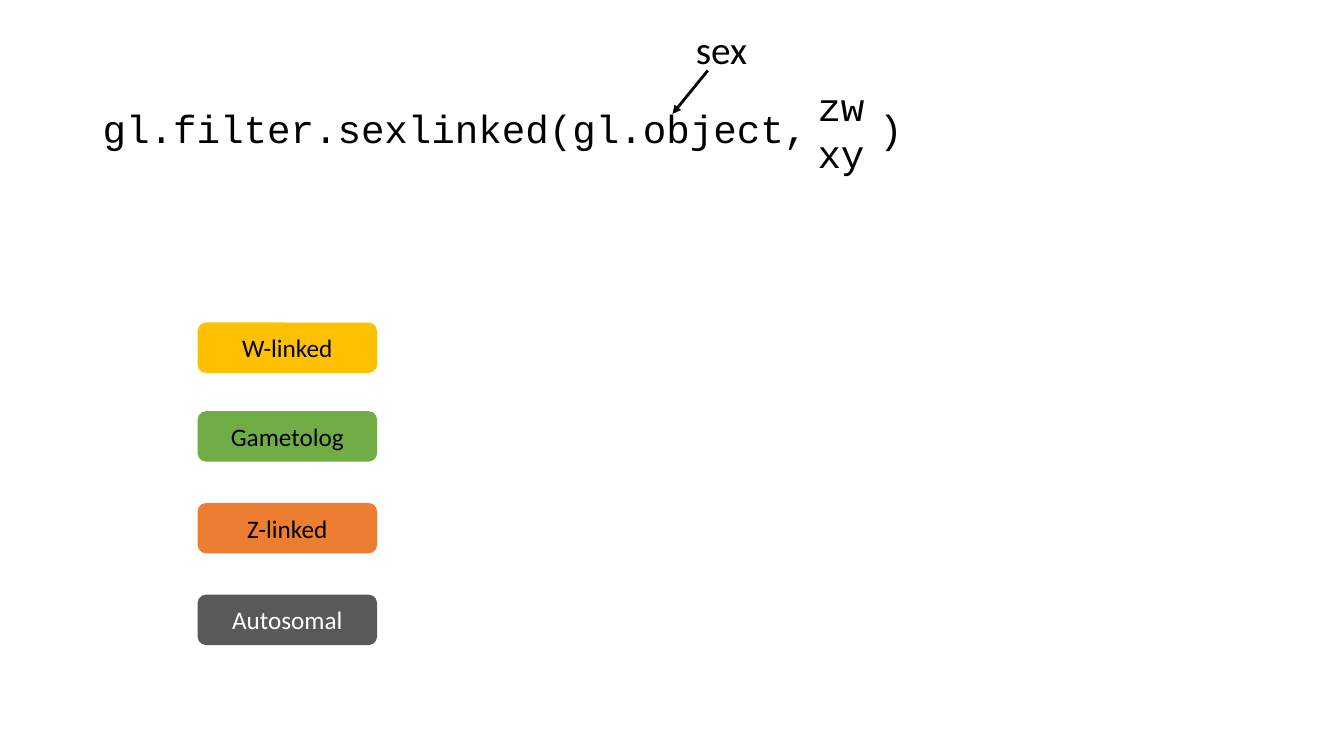
from lxml import etree
from pptx import Presentation
from pptx.dml.color import RGBColor
from pptx.enum import shapes, text
from pptx.oxml import ns
from pptx.util import Inches, Pt

BLACK = RGBColor(0, 0, 0)
WHITE = RGBColor(255, 255, 255)
GOLD = RGBColor(0xFF, 0xC0, 0x00)
GREEN = RGBColor(0x70, 0xAD, 0x47)
ORANGE = RGBColor(0xED, 0x7D, 0x31)
GRAY = RGBColor(0x59, 0x59, 0x59)
CODE = "Courier New"
BODY = "Calibri"
CENTER = text.PP_ALIGN.CENTER


def write(para, words, font, size, color, align=None):
    para.alignment = align
    run = para.add_run()
    run.text = words
    run.font.name = font
    run.font.size = Pt(size)
    run.font.color.rgb = color


def add_box(left, top, width, height):
    box = slide.shapes.add_textbox(
        Inches(left), Inches(top), Inches(width), Inches(height))
    box.text_frame.word_wrap = True
    return box.text_frame


deck = Presentation()
deck.slide_width = Inches(13.33)
deck.slide_height = Inches(7.5)
slide = deck.slides.add_slide(deck.slide_layouts[6])

# Function call, with a tab stop leaving room for the two sex systems
call = add_box(0.92, 1.04, 11.5, 0.6).paragraphs[0]
call.line_spacing = 0.9
tabs = etree.SubElement(call._p.get_or_add_pPr(), ns.qn("a:tabLst"))
etree.SubElement(tabs, ns.qn("a:tab"), pos=str(Inches(7.7)), algn="l")
write(call, "gl.filter.sexlinked(gl.object,\t)", CODE, 28, BLACK)

systems = add_box(8.01, 0.77, 0.75, 1.04)
write(systems.paragraphs[0], "zw", CODE, 28, BLACK)
write(systems.add_paragraph(), "xy", CODE, 28, BLACK)

# Label and arrow to the object
label = add_box(6.7, 0.2, 0.91, 0.57)
write(label.paragraphs[0], "sex", BODY, 28, BLACK, CENTER)

arrow = slide.shapes.add_connector(
    shapes.MSO_CONNECTOR.STRAIGHT,
    Inches(7.02), Inches(0.7), Inches(6.67), Inches(1.13))
arrow.line.color.rgb = BLACK
arrow.line.width = Pt(2)
etree.SubElement(arrow.line._get_or_add_ln(), ns.qn("a:tailEnd"), type="triangle")
etree.SubElement(arrow._element.spPr, ns.qn("a:effectLst"))

# Marker classes
for name, top, fill, color in [
    ("W-linked", 3.2, GOLD, BLACK),
    ("Gametolog", 4.08, GREEN, BLACK),
    ("Z-linked", 4.99, ORANGE, BLACK),
    ("Autosomal", 5.9, GRAY, WHITE),
]:
    pill = slide.shapes.add_shape(
        shapes.MSO_SHAPE.ROUNDED_RECTANGLE,
        Inches(1.96), Inches(top), Inches(1.78), Inches(0.5))
    pill.shadow.inherit = False
    pill.fill.solid()
    pill.fill.fore_color.rgb = fill
    pill.line.fill.background()
    pill.text_frame.vertical_anchor = text.MSO_ANCHOR.MIDDLE
    write(pill.text_frame.paragraphs[0], name, BODY, 18, color, CENTER)

deck.save("out.pptx")
